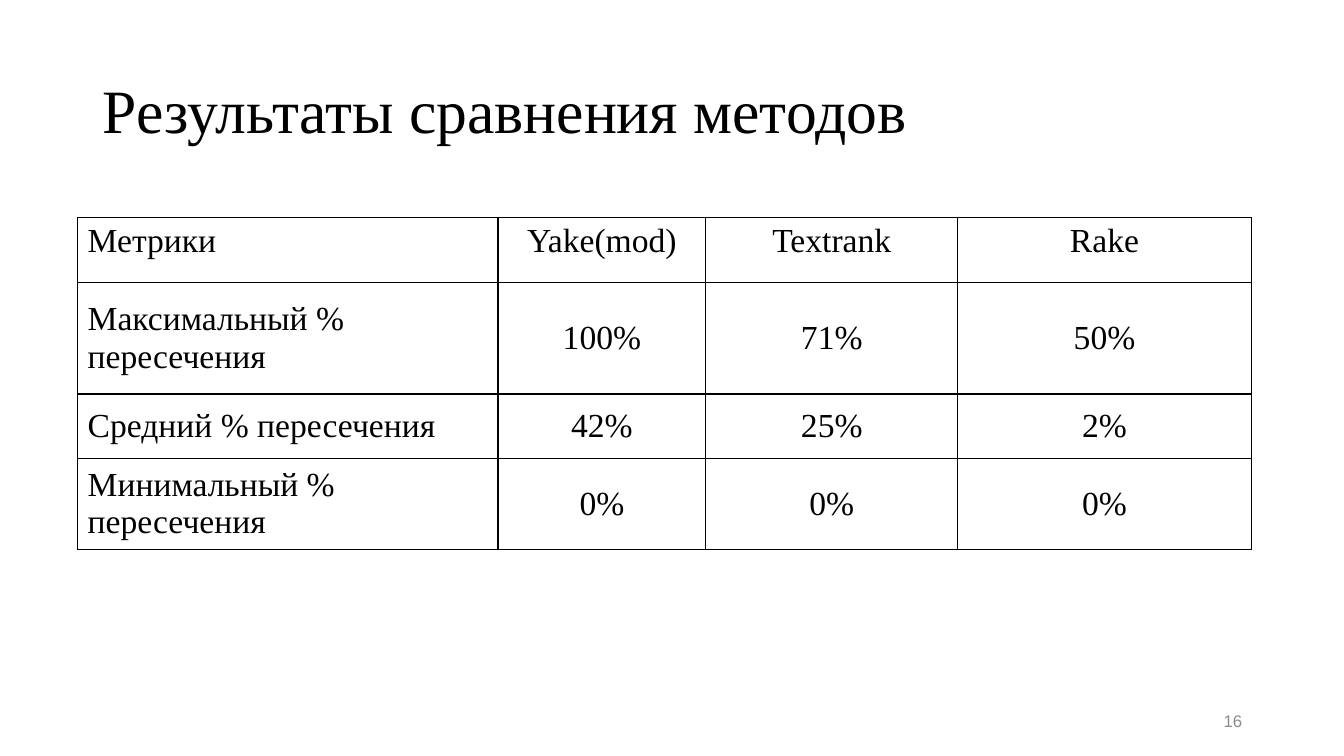
from dataclasses import dataclass

from lxml.etree import SubElement
from pptx import Presentation
from pptx.dml.color import RGBColor
from pptx.enum.text import MSO_ANCHOR, MSO_AUTO_SIZE, PP_ALIGN
from pptx.oxml.ns import qn
from pptx.util import Emu, Pt


@dataclass(frozen=True)
class Theme:
    """Colours, fonts and type sizes of the slide."""
    ink: str = "000000"
    muted: str = "8C8C8C"
    paper: str = "FFFFFF"
    serif: str = "Times New Roman"
    sans: str = "Arial"
    title: int = 44
    cell: int = 24
    number: int = 12
    border: int = 1


THEME = Theme()
COLUMNS = [417, 206, 250, 291]
ROWS = [64, 111, 64, 64]
RESULTS = [
    ["Метрики", "Yake(mod)", "Textrank", "Rake"],
    ["Максимальный % пересечения", "100%", "71%", "50%"],
    ["Средний % пересечения", "42%", "25%", "2%"],
    ["Минимальный % пересечения", "0%", "0%", "0%"],
]


def px(n):
    """Turn px, a hundred to the inch, into EMU."""
    return Emu(n * 9144)


def write(tf, text, size, font, color, align=PP_ALIGN.LEFT):
    """Write one formatted run and return its paragraph."""
    tf.word_wrap = True
    p = tf.paragraphs[0]
    p.alignment = align
    r = p.add_run()
    r.text = text
    r.font.size = Pt(size)
    r.font.name = font
    r.font.color.rgb = RGBColor.from_string(color)
    return p


def add_title(s, text, x, y, w, h):
    """Fill and place the title placeholder."""
    sp = s.shapes.title
    sp.left, sp.top, sp.width, sp.height = px(x), px(y), px(w), px(h)
    tf = sp.text_frame
    tf.auto_size = MSO_AUTO_SIZE.NONE
    tf.vertical_anchor = MSO_ANCHOR.MIDDLE
    p = write(tf, text, THEME.title, THEME.serif, THEME.ink)
    p.line_spacing = 0.9


def add_number(s, text, x, y, w, h):
    """Add the page number."""
    tf = s.shapes.add_textbox(px(x), px(y), px(w), px(h)).text_frame
    tf.vertical_anchor = MSO_ANCHOR.MIDDLE
    write(tf, text, THEME.number, THEME.sans, THEME.muted, PP_ALIGN.RIGHT)


def set_borders(cell):
    """Draw a solid line on all four sides of a cell."""
    tcPr = cell._tc.get_or_add_tcPr()
    for i, side in enumerate(("a:lnL", "a:lnR", "a:lnT", "a:lnB")):
        ln = SubElement(tcPr, qn(side), w=str(Pt(THEME.border)))
        tcPr.insert(i, ln)
        fill = SubElement(ln, qn("a:solidFill"))
        SubElement(fill, qn("a:srgbClr"), val=THEME.ink)


def add_results(s, x, y):
    """Add the bordered table of results."""
    table = s.shapes.add_table(len(ROWS), len(COLUMNS), px(x), px(y),
                               px(sum(COLUMNS)), px(sum(ROWS))).table
    table.first_row = table.horz_banding = False
    for column, w in zip(table.columns, COLUMNS):
        column.width = px(w)
    for row, h in zip(table.rows, ROWS):
        row.height = px(h)
    for i, values in enumerate(RESULTS):
        for j, text in enumerate(values):
            cell = table.cell(i, j)
            cell.fill.solid()
            cell.fill.fore_color.rgb = RGBColor.from_string(THEME.paper)
            cell.vertical_anchor = MSO_ANCHOR.MIDDLE if i else MSO_ANCHOR.TOP
            write(cell.text_frame, text, THEME.cell, THEME.serif, THEME.ink,
                  PP_ALIGN.CENTER if j else PP_ALIGN.LEFT)
            set_borders(cell)


def main():
    """Build the slide and save it."""
    prs = Presentation()
    prs.slide_width, prs.slide_height = px(1333), px(750)
    s = prs.slides.add_slide(prs.slide_layouts[5])
    add_title(s, "Результаты сравнения методов", 92, 40, 1150, 145)
    add_number(s, "16", 942, 695, 300, 40)
    add_results(s, 77, 216)
    prs.save("out.pptx")


if __name__ == "__main__":
    main()
